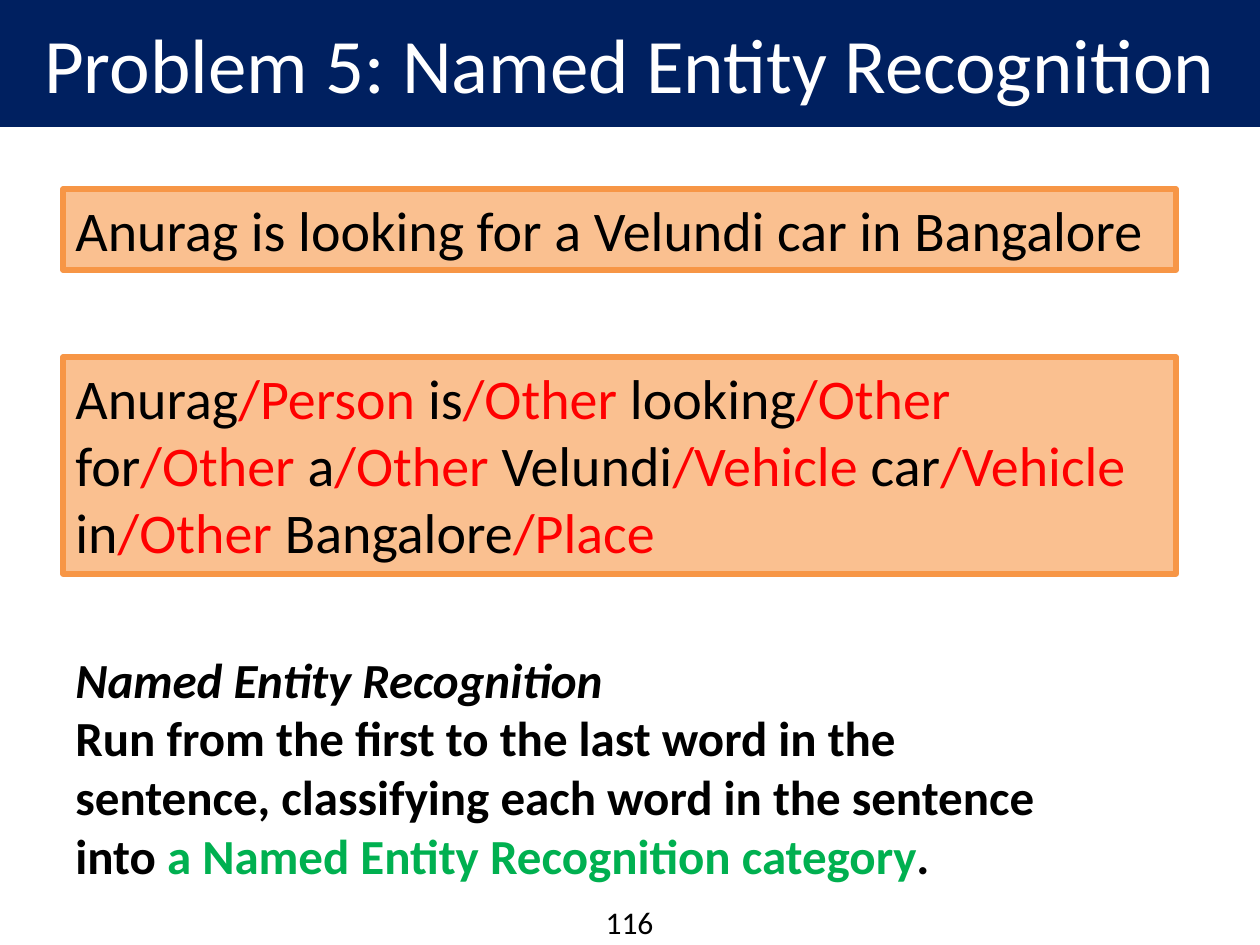
from pptx import Presentation
from pptx.dml.color import RGBColor
from pptx.enum.shapes import MSO_SHAPE
from pptx.enum.text import MSO_ANCHOR, MSO_AUTO_SIZE, PP_ALIGN
from pptx.util import Emu, Pt

RECTANGLE = MSO_SHAPE.RECTANGLE
TOP, MIDDLE = MSO_ANCHOR.TOP, MSO_ANCHOR.MIDDLE
NO_FIT = MSO_AUTO_SIZE.NONE
LEFT, CENTER = PP_ALIGN.LEFT, PP_ALIGN.CENTER

NAVY = RGBColor(0x00, 0x20, 0x60)
WHITE = RGBColor(0xFF, 0xFF, 0xFF)
BLACK = RGBColor(0x00, 0x00, 0x00)
PEACH = RGBColor(0xFA, 0xC0, 0x90)
ORANGE = RGBColor(0xF7, 0x96, 0x46)
RED = RGBColor(0xFF, 0x00, 0x00)
GREEN = RGBColor(0x00, 0xB0, 0x50)

EMU_PER_PX = 914400 / 126
WIDTH, HEIGHT = 1260, 945
MARGIN, BOX_WIDTH = 63, 1113


def px(length):
    """Turn pixels into EMU."""
    return Emu(round(length * EMU_PER_PX))


class SlideBuilder:
    """Hold the text style and the current slide."""

    font_name = "Calibri"

    def __init__(self, presentation):
        self.slide = presentation.slides.add_slide(presentation.slide_layouts[5])

    def add_runs(self, shape, paragraphs, size, align=LEFT, anchor=TOP, bold=False):
        """Fill a shape with paragraphs of (text, colour, italic) runs."""
        frame = shape.text_frame
        frame.word_wrap = True
        frame.auto_size = NO_FIT
        frame.vertical_anchor = anchor
        for index, runs in enumerate(paragraphs):
            paragraph = frame.add_paragraph() if index else frame.paragraphs[0]
            paragraph.alignment = align
            for text, color, italic in runs:
                run = paragraph.add_run()
                run.text = text
                run.font.name = self.font_name
                run.font.size = Pt(size)
                run.font.bold = bold
                run.font.italic = italic
                run.font.color.rgb = color

    def paint(self, shape, fill, line, weight):
        """Set the fill and outline of a shape."""
        shape.fill.solid()
        shape.fill.fore_color.rgb = fill
        shape.line.color.rgb = line
        shape.line.width = Pt(weight)

    def title(self, text, height):
        """Turn the title placeholder into a full-width banner."""
        banner = self.slide.shapes.title
        banner.left, banner.top = px(0), px(0)
        banner.width, banner.height = px(WIDTH), px(height)
        self.paint(banner, NAVY, NAVY, 0.75)
        self.add_runs(banner, [[(text, WHITE, False)]], 44, CENTER, MIDDLE)

    def sentence_box(self, top, height, runs):
        """Add an orange box that holds one sentence."""
        box = self.slide.shapes.add_shape(
            RECTANGLE, px(MARGIN), px(top), px(BOX_WIDTH), px(height))
        box.shadow.inherit = False
        self.paint(box, PEACH, ORANGE, 3)
        self.add_runs(box, [runs], 32)

    def text(self, left, top, width, height, paragraphs, size, **style):
        """Add a plain text box."""
        box = self.slide.shapes.add_textbox(
            px(left), px(top), px(width), px(height))
        self.add_runs(box, paragraphs, size, **style)


def main():
    """Build the named entity recognition slide."""
    presentation = Presentation()
    presentation.slide_width, presentation.slide_height = px(WIDTH), px(HEIGHT)
    builder = SlideBuilder(presentation)

    tagged_words = [
        ("Anurag", "Person"), ("is", "Other"), ("looking", "Other"),
        ("for", "Other"), ("a", "Other"), ("Velundi", "Vehicle"),
        ("car", "Vehicle"), ("in", "Other"), ("Bangalore", "Place"),
    ]
    sentence = " ".join(word for word, _ in tagged_words)
    tagged_runs = []
    for index, (word, category) in enumerate(tagged_words):
        spaced_word = f" {word}" if index else word
        tagged_runs += [(spaced_word, BLACK, False), (f"/{category}", RED, False)]

    explanation = [
        [("Named Entity Recognition", BLACK, True)],
        [("Run from the first to the last word in the sentence, classifying "
          "each word in the sentence into ", BLACK, False),
         ("a Named Entity Recognition category", GREEN, False),
         (".", BLACK, False)],
    ]

    builder.title("Problem 5: Named Entity Recognition", 126)
    builder.sentence_box(189, 81, [(sentence, BLACK, False)])
    builder.sentence_box(357, 217, tagged_runs)
    builder.text(MARGIN, 643, 1003, 251, explanation, 28, bold=True)
    builder.text(577, 897, 105, 50, [[("116", BLACK, False)]], 18, align=CENTER)
    presentation.save("out.pptx")


if __name__ == "__main__":
    main()
